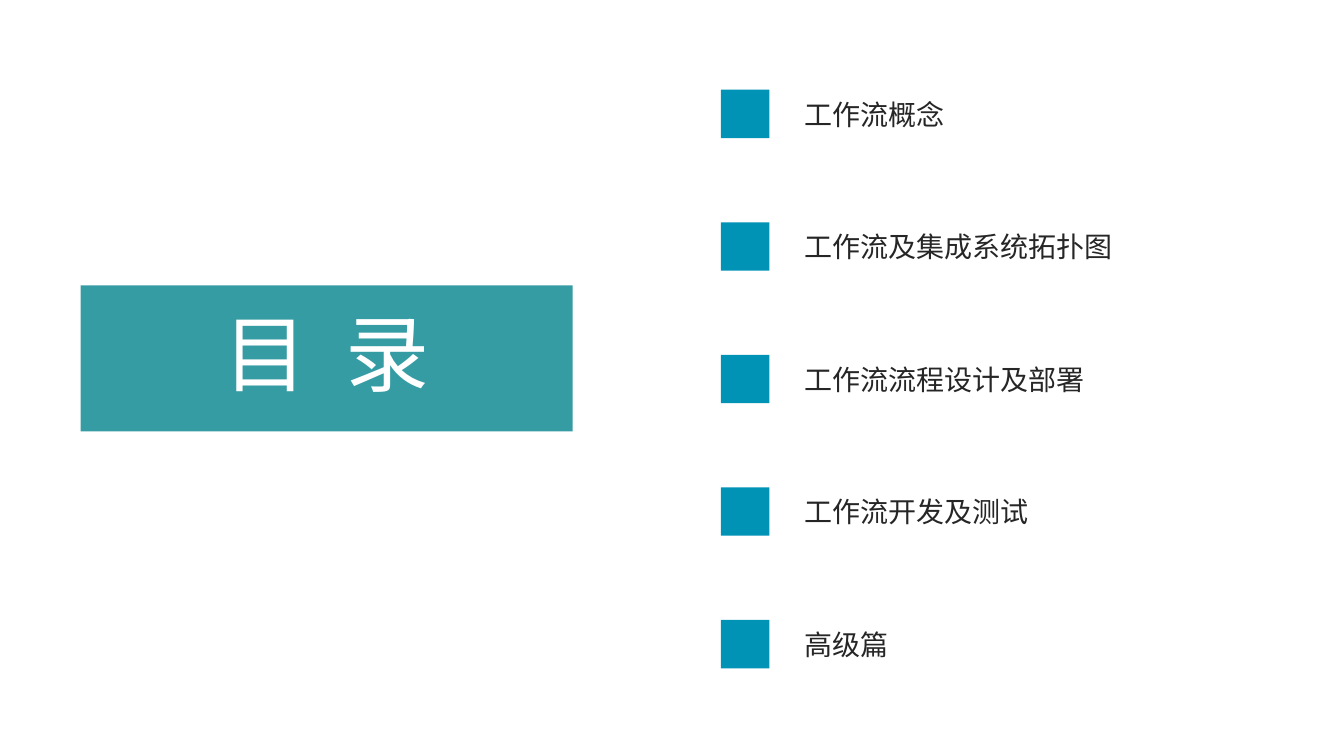
from dataclasses import dataclass

from pptx import Presentation
from pptx.dml.color import RGBColor
from pptx.enum.shapes import MSO_SHAPE
from pptx.enum.text import MSO_ANCHOR, MSO_AUTO_SIZE, PP_ALIGN
from pptx.util import Inches, Pt

RECTANGLE = MSO_SHAPE.RECTANGLE
MIDDLE = MSO_ANCHOR.MIDDLE
NO_AUTOFIT = MSO_AUTO_SIZE.NONE
CENTER = PP_ALIGN.CENTER
TITLE_ONLY = 5


@dataclass(frozen=True)
class Theme:
    """Hold the colours, font and type sizes of the deck."""
    banner: RGBColor = RGBColor(0x36, 0x9C, 0xA4)
    marker: RGBColor = RGBColor(0x00, 0x93, 0xB6)
    ink: RGBColor = RGBColor(0x26, 0x26, 0x26)
    paper: RGBColor = RGBColor(0xFF, 0xFF, 0xFF)
    font: str = "Arial"
    title_size: int = 60
    entry_size: int = 20


THEME = Theme()
TOPICS = ["工作流概念", "工作流及集成系统拓扑图", "工作流流程设计及部署", "工作流开发及测试", "高级篇"]


def add_span(para, text, *, size, color, spacing=0):
    """Append formatted text to a paragraph, with letter spacing in points."""
    span = para.add_run()
    span.text = text
    span.font.name = THEME.font
    span.font.size = Pt(size)
    span.font.color.rgb = color
    if spacing:
        span._r.get_or_add_rPr().set("spc", str(round(spacing * 100)))


def place_title(page, left, top, width, height):
    """Turn the title placeholder into the filled contents banner."""
    title = page.shapes.title
    title.left, title.top = Inches(left), Inches(top)
    title.width, title.height = Inches(width), Inches(height)
    title.fill.solid()
    title.fill.fore_color.rgb = THEME.banner
    frame = title.text_frame
    frame.auto_size = NO_AUTOFIT
    frame.vertical_anchor = MIDDLE
    para = frame.paragraphs[0]
    para.alignment = CENTER
    para.line_spacing = 0.9
    for text, spacing in (("目", 0), (" ", 13.5), ("录", 0)):
        add_span(para, text, size=THEME.title_size, color=THEME.paper, spacing=spacing)


def add_entry(page, topic, left, top, width, height):
    """Add one contents row: a square marker and its topic."""
    side = 0.48
    label_offset = 0.73
    marker = page.shapes.add_shape(
        RECTANGLE, Inches(left), Inches(top + (height - side) / 2), Inches(side), Inches(side))
    marker.shadow.inherit = False
    marker.fill.solid()
    marker.fill.fore_color.rgb = THEME.marker
    marker.line.fill.background()

    box = page.shapes.add_textbox(
        Inches(left + label_offset), Inches(top), Inches(width - label_offset), Inches(height))
    frame = box.text_frame
    frame.word_wrap = True
    frame.vertical_anchor = MIDDLE
    add_span(frame.paragraphs[0], topic, size=THEME.entry_size, color=THEME.ink)


def add_entries(page, topics, left, top, width, height):
    """Spread the contents rows evenly over the given box."""
    row_height = 0.68
    step = (height - row_height) / (len(topics) - 1)
    for index, topic in enumerate(topics):
        add_entry(page, topic, left, top + index * step, width, row_height)


def build_contents(deck):
    """Add the contents slide to the deck."""
    page = deck.slides.add_slide(deck.slide_layouts[TITLE_ONLY])
    place_title(page, 0.8, 2.83, 4.88, 1.45)
    add_entries(page, TOPICS, 7.15, 0.79, 5.14, 5.94)


def main():
    """Build and save the deck."""
    deck = Presentation()
    deck.slide_width, deck.slide_height = Inches(13.33), Inches(7.5)
    build_contents(deck)
    deck.save("out.pptx")


if __name__ == "__main__":
    main()
